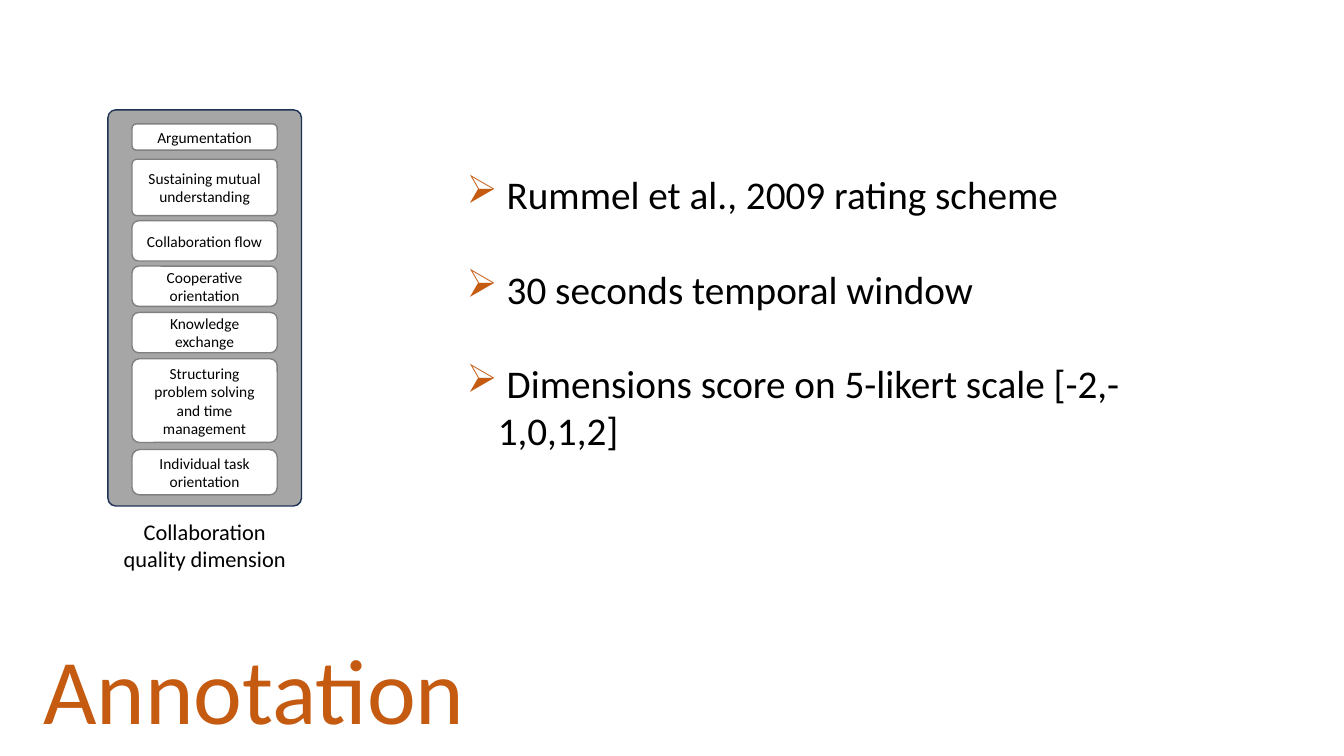
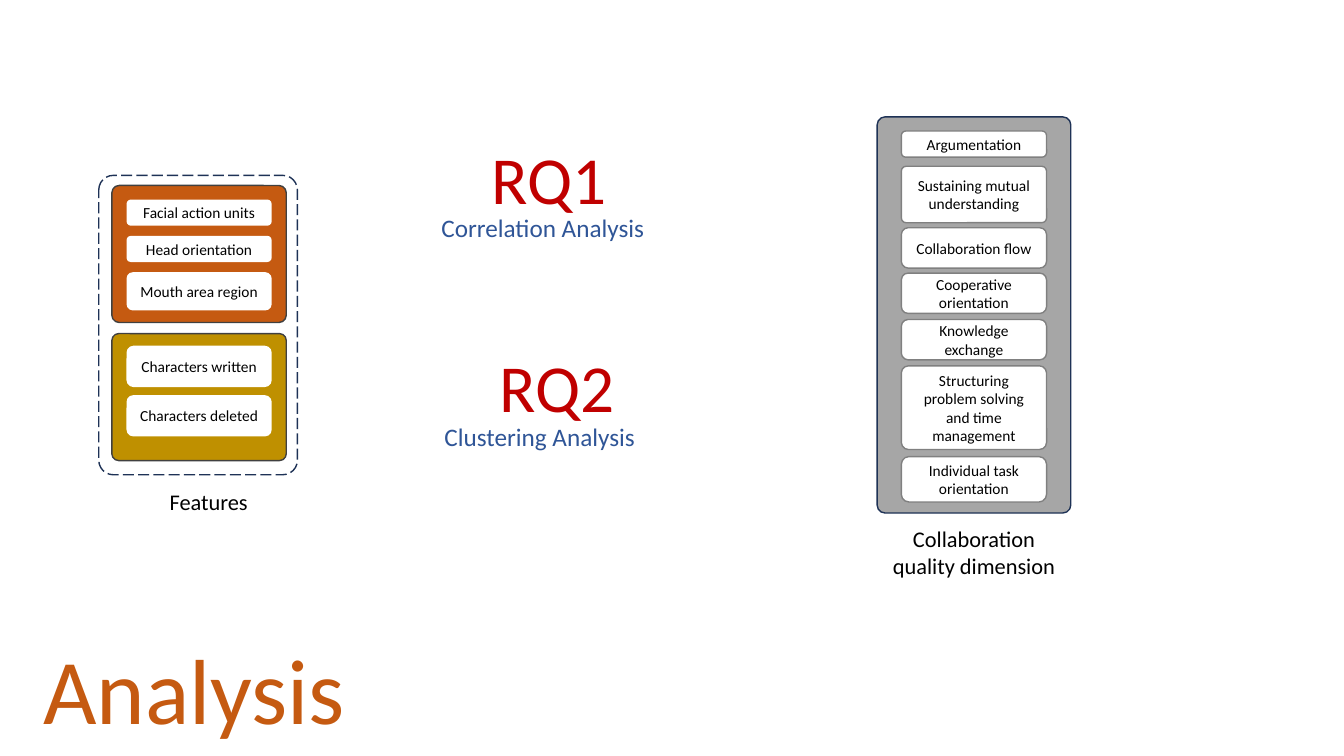
from lxml.etree import SubElement
from pptx import Presentation
from pptx.dml.color import RGBColor
from pptx.enum.dml import MSO_LINE_DASH_STYLE as Dash
from pptx.enum.shapes import MSO_SHAPE as Shape
from pptx.enum.text import MSO_ANCHOR as Anchor, MSO_AUTO_SIZE as AutoSize, PP_ALIGN as Align
from pptx.oxml.ns import qn
from pptx.util import Inches, Pt

COLORS = {
    "orange": "C55A11", "gold": "BF9000", "gray": "A6A6A6", "white": "FFFFFF",
    "black": "000000", "navy": "1E3256", "charcoal": "404040",
    "mid_gray": "808080", "red": "C00000", "blue": "2F5597",
}
FONT = "Calibri"
CHIP_WIDTH = 1.44

# Chips of a panel: offset from the panel top, height, text
DIMENSIONS = [
    (0.14, 0.26, "Argumentation"),
    (0.49, 0.56, "Sustaining mutual understanding"),
    (1.10, 0.40, "Collaboration flow"),
    (1.55, 0.40, "Cooperative orientation"),
    (2.01, 0.40, "Knowledge exchange"),
    (2.47, 0.83, "Structuring problem solving and time management"),
    (3.37, 0.45, "Individual task orientation"),
]
FACE_FEATURES = [
    (0.14, 0.26, "Facial action units"),
    (0.50, 0.26, "Head orientation"),
    (0.86, 0.38, "Mouth area region"),
]
WRITING_FEATURES = [
    (0.12, 0.41, "Characters written"),
    (0.61, 0.41, "Characters deleted"),
]


def rgb(name):
    return RGBColor.from_string(COLORS[name])


class Deck:
    """Holds the presentation, its style and the current slide."""

    def __init__(self):
        self.presentation = Presentation()
        self.presentation.slide_width = Inches(13.33)
        self.presentation.slide_height = Inches(7.5)
        self.slide = None

    def add_slide(self, title):
        layout = self.presentation.slide_layouts.get_by_name("Title Only")
        self.slide = self.presentation.slides.add_slide(layout)
        shape = self.slide.shapes.title
        shape.left, shape.top = Inches(0.33), Inches(6.22)
        shape.width, shape.height = Inches(6.24), Inches(1.21)
        frame = shape.text_frame
        frame.auto_size = AutoSize.NONE
        frame.vertical_anchor = Anchor.TOP
        self.set_text(frame.paragraphs[0], title, 66, "orange")

    def set_text(self, paragraph, text, size, color, align=Align.LEFT):
        paragraph.text = text
        paragraph.alignment = align
        font = paragraph.font
        font.name, font.size = FONT, Pt(size)
        font.color.rgb = rgb(color)

    def text_frame(self, left, top, width, height):
        box = self.slide.shapes.add_textbox(
            Inches(left), Inches(top), Inches(width), Inches(height))
        box.text_frame.word_wrap = True
        return box.text_frame

    def label(self, left, top, width, height, text, size, color="black", align=Align.LEFT):
        frame = self.text_frame(left, top, width, height)
        self.set_text(frame.paragraphs[0], text, size, color, align)

    def rounded(self, left, top, width, height, radius, fill=None, line=None):
        shape = self.slide.shapes.add_shape(
            Shape.ROUNDED_RECTANGLE,
            Inches(left), Inches(top), Inches(width), Inches(height))
        shape.shadow.inherit = False
        shape.adjustments[0] = radius
        if fill:
            shape.fill.solid()
            shape.fill.fore_color.rgb = rgb(fill)
        else:
            shape.fill.background()
        if line:
            shape.line.color.rgb = rgb(line)
            shape.line.width = Pt(1)
        else:
            shape.line.fill.background()
        return shape

    def panel(self, left, top, width, height, radius, fill, line, chips, chip_line=None):
        """A coloured panel with a centred column of white chips."""
        self.rounded(left, top, width, height, radius, fill, line)
        chip_left = left + (width - CHIP_WIDTH) / 2
        for offset, chip_height, text in chips:
            chip_radius = 0.084 if chip_height > 0.5 else 0.167
            chip = self.rounded(chip_left, top + offset, CHIP_WIDTH, chip_height,
                                chip_radius, "white", chip_line)
            frame = chip.text_frame
            frame.word_wrap = True
            frame.vertical_anchor = Anchor.MIDDLE
            self.set_text(frame.paragraphs[0], text, 11, "black", Align.CENTER)

    def dimension_panel(self, left, top):
        self.panel(left, top, 1.92, 3.93, 0.041, "gray", "navy", DIMENSIONS, "mid_gray")
        self.label(left, top + 4, 1.92, 0.91, "Collaboration quality dimension", 16,
                   align=Align.CENTER)

    def bullets(self, left, top, width, height, items):
        frame = self.text_frame(left, top, width, height)
        for index, item in enumerate(items):
            paragraph = frame.add_paragraph() if index else frame.paragraphs[0]
            self.set_text(paragraph, " " + item, 28, "black")
            if index:
                paragraph.space_before = Pt(34)
            # Hanging indent and coloured arrow bullet, placed before defRPr
            properties = paragraph._p.get_or_add_pPr()
            properties.set("marL", str(Inches(0.31)))
            properties.set("indent", str(Inches(-0.31)))
            default_font = properties.find(qn("a:defRPr"))
            bullet_color = SubElement(properties, qn("a:buClr"))
            SubElement(bullet_color, qn("a:srgbClr"), val=COLORS["orange"])
            bullet = SubElement(properties, qn("a:buChar"), char="➢")
            default_font.addprevious(bullet_color)
            default_font.addprevious(bullet)


def main():
    deck = Deck()

    # Annotation: rated dimensions and the rating method
    deck.add_slide("Annotation")
    deck.dimension_panel(1.07, 1.09)
    deck.bullets(4.53, 1.64, 7.5, 2.93, [
        "Rummel et al., 2009 rating scheme",
        "30 seconds temporal window",
        "Dimensions score on 5-likert scale [-2,-1,0,1,2]",
    ])

    # Analysis: features on the left, dimensions on the right
    deck.add_slide("Analysis")
    frame = deck.rounded(0.98, 1.74, 1.97, 2.97, 0.073, line="navy")
    frame.line.dash_style = Dash.LONG_DASH
    deck.panel(1.11, 1.84, 1.73, 1.36, 0.054, "orange", "charcoal", FACE_FEATURES)
    deck.panel(1.11, 3.31, 1.73, 1.26, 0.054, "gold", "charcoal", WRITING_FEATURES)
    deck.label(1.25, 4.79, 1.64, 0.37, "Features", 16, align=Align.CENTER)
    deck.dimension_panel(8.7, 1.16)

    # Research questions with their methods
    for left, top, question, method_left, method in [
        (4.78, 1.31, "RQ1", 4.28, "Correlation Analysis"),
        (4.86, 3.38, "RQ2", 4.31, "Clustering Analysis"),
    ]:
        deck.label(left, top, 1.63, 0.91, question, 48, "red")
        deck.label(method_left, top + 0.75, 2.79, 0.4, method, 18, "blue")

    deck.presentation.save("out.pptx")


if __name__ == "__main__":
    main()
